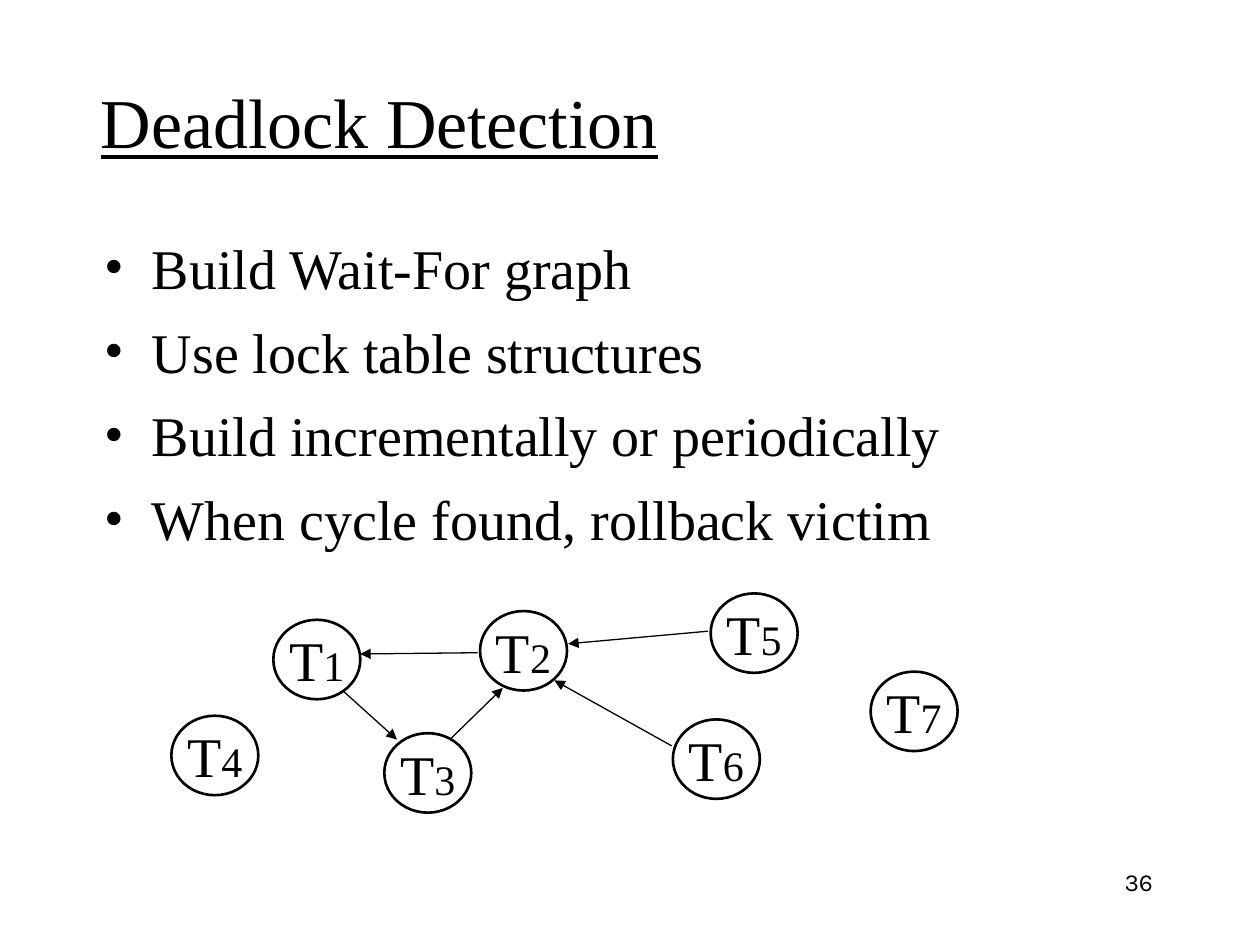
"""Build the Deadlock Detection slide with its wait-for graph."""
from lxml import etree
from pptx import Presentation
from pptx import util as u
from pptx.dml.color import RGBColor
from pptx.enum import shapes, text
from pptx.oxml import ns

COLORS = {"ink": "000000", "paper": "FFFFFF"}
FONTS = {"main": "Times New Roman", "number": "Karla"}
NODE_SIZE = (49.7, 45.4)
INDENT = 27

BULLETS = [
    "Build Wait-For graph",
    "Use lock table structures",
    "Build incrementally or periodically",
    "When cycle found, rollback victim",
]
NODES = {
    "1": (156.2, 354.2),
    "3": (219.6, 419),
    "2": (274.3, 349.2),
    "6": (384.5, 411.1),
    "5": (406.1, 339.1),
    "4": (97.9, 409),
    "7": (497.5, 383.8),
}
WAITS = [
    ((196.6, 395.3), (226.8, 422.6)),
    ((257.8, 421.9), (287.3, 393.1)),
    ((272.9, 373), (205.9, 373.7)),
    ((404.6, 360.7), (324.7, 367.9)),
    ((383.8, 426.2), (316.8, 388.8)),
]


def color(name):
    return RGBColor.from_string(COLORS[name])


def points(*values):
    return [u.Pt(value) for value in values]


def apply(target, **values):
    for name, value in values.items():
        setattr(target, name, value)


class SlideBuilder:
    """Holds the style and the current slide."""

    def __init__(self, presentation):
        self.slide = presentation.slides.add_slide(presentation.slide_layouts[1])

    def place(self, shape, left, top, width, height):
        left, top, width, height = points(left, top, width, height)
        apply(shape, left=left, top=top, width=width, height=height)

    def frame(self, shape, **values):
        side, edge = points(7.2, 3.6)
        settings = {
            "margin_left": side, "margin_right": side,
            "margin_top": edge, "margin_bottom": edge,
            "word_wrap": True, "auto_size": text.MSO_AUTO_SIZE.NONE,
        }
        apply(shape.text_frame, **{**settings, **values})
        return shape.text_frame

    def style(self, font, size, name="main", **values):
        apply(font, size=u.Pt(size), name=FONTS[name], **values)
        font.color.rgb = color("ink")

    def title(self, wording, box):
        shape = self.slide.shapes.title
        self.place(shape, *box)
        frame = self.frame(shape, vertical_anchor=text.MSO_ANCHOR.MIDDLE)
        paragraph = frame.paragraphs[0]
        paragraph.alignment = text.PP_ALIGN.LEFT
        run = paragraph.add_run()
        run.text = wording
        self.style(run.font, 40, underline=True)

    def bullets(self, lines, box):
        shape = self.slide.placeholders[1]
        self.place(shape, *box)
        frame = self.frame(shape, margin_top=u.Pt(8))
        frame.text = "\n".join(lines)
        for index, paragraph in enumerate(frame.paragraphs):
            apply(paragraph, space_before=u.Pt(9.5 if index else 0))
            self.bullet(paragraph)
            self.style(paragraph.runs[0].font, 32)

    def bullet(self, paragraph):
        properties = paragraph._p.get_or_add_pPr()
        properties.set("marL", str(u.Pt(INDENT)))
        properties.set("indent", str(u.Pt(-INDENT)))
        tint = etree.SubElement(properties, ns.qn("a:buClr"))
        etree.SubElement(tint, ns.qn("a:srgbClr"), val=COLORS["ink"])
        etree.SubElement(properties, ns.qn("a:buFont"), typeface=FONTS["main"])
        etree.SubElement(properties, ns.qn("a:buChar"), char="•")

    def page_number(self, number, box):
        shape = self.slide.shapes.add_textbox(*points(*box))
        paragraph = self.frame(shape).paragraphs[0]
        paragraph.alignment = text.PP_ALIGN.RIGHT
        run = paragraph.add_run()
        run.text = number
        self.style(run.font, 14, "number")

    def node(self, number, position):
        shape = self.slide.shapes.add_shape(
            shapes.MSO_SHAPE.OVAL, *points(*position, *NODE_SIZE))
        shape.shadow.inherit = False
        shape.fill.solid()
        shape.fill.fore_color.rgb = color("paper")
        shape.line.color.rgb = color("ink")
        shape.line.width = u.Pt(1.5)
        frame = self.frame(
            shape, word_wrap=False, vertical_anchor=text.MSO_ANCHOR.MIDDLE)
        paragraph = frame.paragraphs[0]
        paragraph.alignment = text.PP_ALIGN.CENTER
        for wording, size in (("T", 32), (number, 24)):
            run = paragraph.add_run()
            run.text = wording
            self.style(run.font, size)

    def arrow(self, start, end):
        connector = self.slide.shapes.add_connector(
            shapes.MSO_CONNECTOR.STRAIGHT, *points(*start, *end))
        connector.line.color.rgb = color("ink")
        connector.line.width = u.Pt(0.75)
        etree.SubElement(
            connector.line._get_or_add_ln(), ns.qn("a:tailEnd"), type="triangle")
        etree.SubElement(connector._element.spPr, ns.qn("a:effectLst"))


def main():
    presentation = Presentation()
    apply(presentation, slide_width=u.Pt(720), slide_height=u.Pt(540))
    builder = SlideBuilder(presentation)
    builder.page_number("36", (516.2, 491.8, 149.8, 36))
    builder.title("Deadlock Detection", (50.4, 35.3, 612, 67.7))
    builder.bullets(BULLETS, (52.6, 125.3, 612, 193))
    for number, position in NODES.items():
        builder.node(number, position)
    for start, end in WAITS:
        builder.arrow(start, end)
    presentation.save("out.pptx")


if __name__ == "__main__":
    main()
